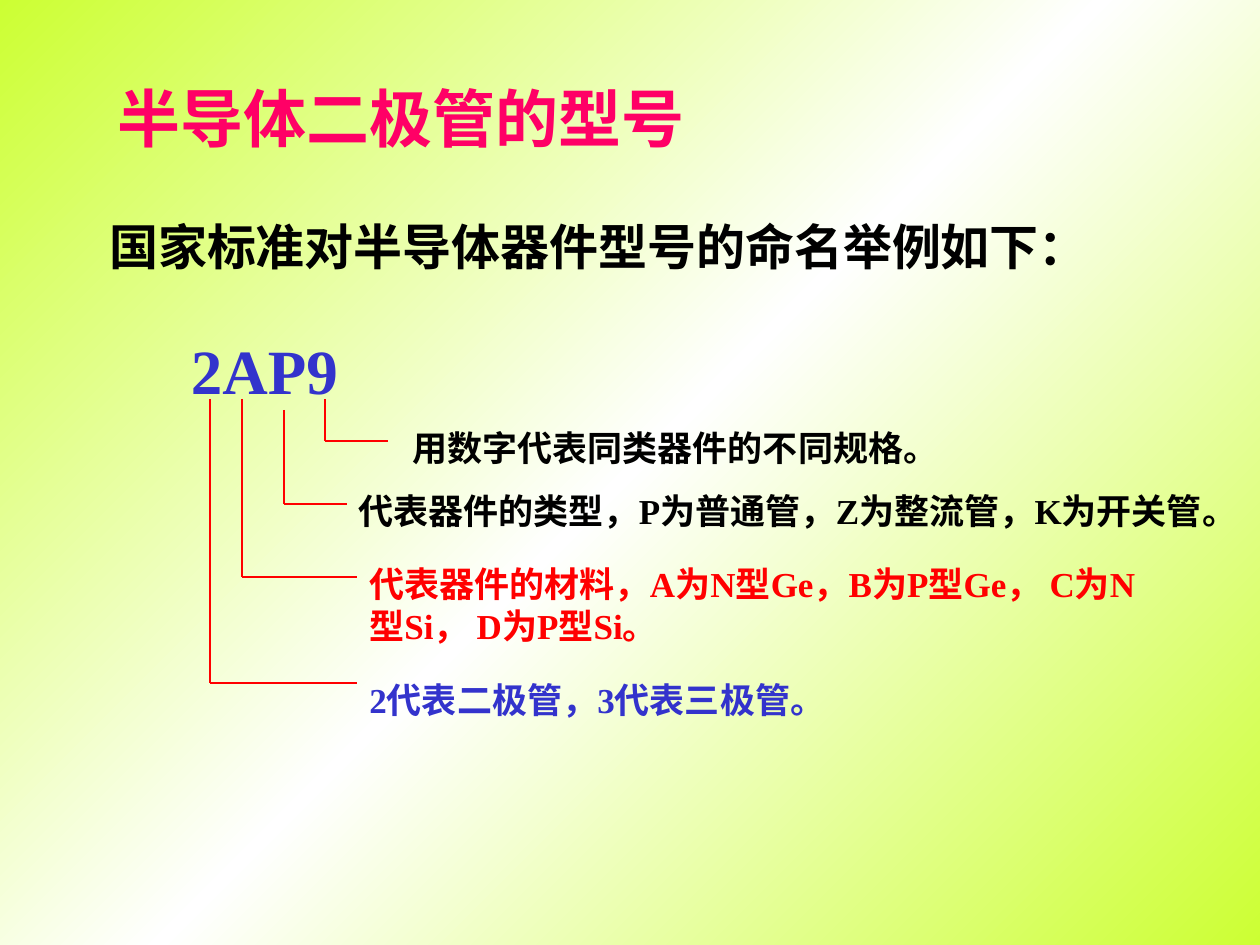
import copy

import pptx
import pptx.dml.color
import pptx.enum.shapes
import pptx.enum.text
import pptx.oxml.ns
import pptx.util
from lxml import etree

EMU_PER_PX = 914400 / 126
FONT = "Times New Roman"
LIME, WHITE, PINK = "CCFF33", "FFFFFF", "FF0066"
BLACK, RED, BLUE = "000000", "FF0000", "3333CC"


def px(length):
    return pptx.util.Emu(round(length * EMU_PER_PX))


def color(hex_text):
    return pptx.dml.color.RGBColor.from_string(hex_text)


def write(frame, text, *, size, ink, centered=False, wrap=True):
    frame.word_wrap = wrap
    frame.auto_size = pptx.enum.text.MSO_AUTO_SIZE.SHAPE_TO_FIT_TEXT
    frame.vertical_anchor = pptx.enum.text.MSO_ANCHOR.MIDDLE
    paragraph = frame.paragraphs[0]
    align = pptx.enum.text.PP_ALIGN
    paragraph.alignment = align.CENTER if centered else align.LEFT
    run = paragraph.add_run()
    run.text = text
    run.font.name = FONT
    run.font.size = pptx.util.Pt(size)
    run.font.bold = True
    run.font.color.rgb = color(ink)


class SlideBuilder:
    def __init__(self, slide):
        self.slide = slide
        self.line_color = RED
        self.line_width = pptx.util.Pt(1)

    def background(self, *stop_colors, angle):
        fill = self.slide.background.fill
        fill.gradient()
        fill.gradient_angle = angle
        first = self.slide.background._cSld.find(".//" + pptx.oxml.ns.qn("a:gs"))
        stop_list = first.getparent()
        while len(stop_list) < len(stop_colors):
            stop_list.append(copy.deepcopy(first))
        for i, (stop, hex_text) in enumerate(zip(fill.gradient_stops, stop_colors)):
            stop.position = i / (len(stop_colors) - 1)
            stop.color.rgb = color(hex_text)

    def text(self, box, content, shapes=None, **style):
        shapes = shapes or self.slide.shapes
        label = shapes.add_textbox(*map(px, box))
        write(label.text_frame, content, **style)

    def line(self, shapes, start, end):
        rule = shapes.add_connector(
            pptx.enum.shapes.MSO_CONNECTOR.STRAIGHT, *map(px, (*start, *end)))
        rule.line.color.rgb = color(self.line_color)
        rule.line.width = self.line_width
        etree.SubElement(rule._element.spPr, pptx.oxml.ns.qn("a:effectLst"))

    def branch(self, top, corner, right, box, meaning, **style):
        """Group an elbow from one character of the code with its meaning."""
        shapes = self.slide.shapes.add_group_shape().shapes
        x, y = corner
        self.line(shapes, (x, top), corner)
        self.line(shapes, corner, (right, y))
        self.text(box, meaning, shapes, size=20, **style)


def main():
    deck = pptx.Presentation()
    deck.slide_width, deck.slide_height = px(1260), px(945)
    page = SlideBuilder(deck.slides.add_slide(deck.slide_layouts[6]))
    page.background(LIME, WHITE, LIME, angle=135)

    # Title, introduction and the example code
    heading = dict(centered=True, wrap=False)
    page.text((105, 73, 592, 88), "半导体二极管的型号", size=36, ink=PINK, **heading)
    page.text((94, 210, 1009, 72), "国家标准对半导体器件型号的命名举例如下：",
              size=28, ink=BLACK, **heading)
    page.text((176, 325, 177, 88), "2AP9", size=36, ink=BLUE, **heading)

    # Meaning of each character, from the last to the first
    page.branch(399, (325, 441), 388, (400, 420, 551, 55),
                "用数字代表同类器件的不同规格。", ink=BLACK, **heading)
    page.branch(410, (284, 504), 347, (346, 462, 914, 97),
                "代表器件的类型，P为普通管，Z为整流管，K为开关管。", ink=BLACK)
    page.branch(399, (242, 577), 357, (357, 556, 819, 97),
                "代表器件的材料，A为N型Ge，B为P型Ge， C为N型Si， D为P型Si。", ink=RED)
    page.branch(399, (210, 683), 357, (357, 672, 525, 55),
                "2代表二极管，3代表三极管。", ink=BLUE)

    deck.save("out.pptx")


if __name__ == "__main__":
    main()
